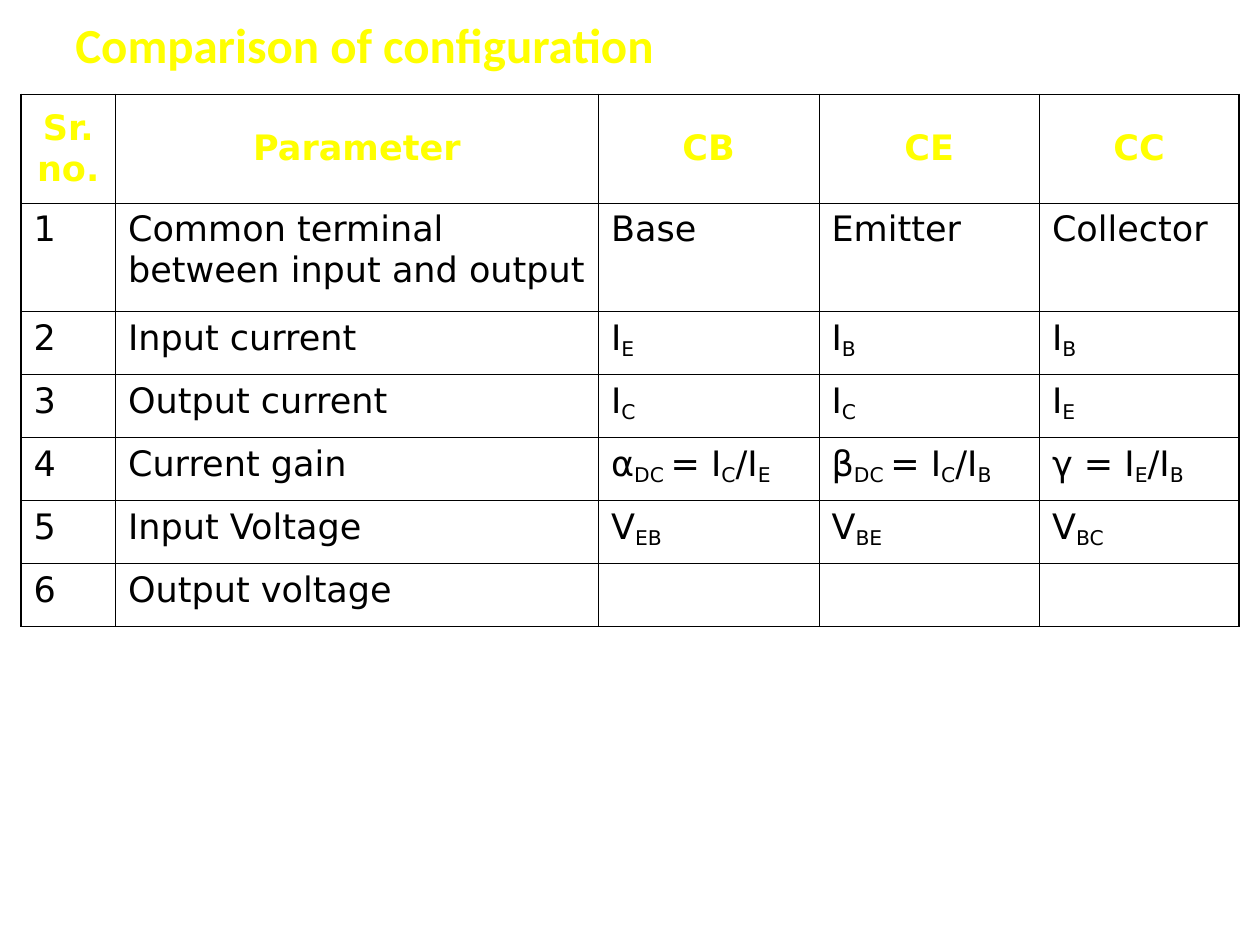
from pptx import Presentation
from pptx.dml.color import RGBColor
from pptx.enum.text import MSO_ANCHOR, PP_ALIGN
from pptx.oxml import parse_xml
from pptx.oxml.ns import nsdecls
from pptx.util import Pt

HUES = {"head": "FFFF00", "body": "000000", "rule": "000000"}
THIN, THICK = 0.45, 1.08
COLS = [54, 276, 126, 126, 114]
ROWS = [62, 62] + [36] * 5
# Parts between bars alternate: plain, subscript, plain, ...
DATA = [
    ["Sr.no.", "Parameter", "CB", "CE", "CC"],
    ["1", "Common terminal between input and output",
     "Base", "Emitter", "Collector"],
    ["2", "Input current", "I|E", "I|B", "I|B"],
    ["3", "Output current", "I|C", "I|C", "I|E"],
    ["4", "Current gain", "α|DC |= I|C|/I|E", "β|DC |= I|C|/I|B",
     "γ = I|E|/I|B"],
    ["5", "Input Voltage", "V|EB", "V|BE", "V|BC"],
    ["6", "Output voltage", "", "", ""],
]


def add_run(para, text, face, size, hue, bold=False, sub=False):
    run = para.add_run()
    run.text = text
    font = run.font
    font.name, font.size, font.bold = face, Pt(size), bold
    font.color.rgb = RGBColor.from_string(HUES[hue])
    if sub:
        font._element.set("baseline", "-18000")


def add_title(slide, text):
    box = slide.shapes.add_textbox(Pt(36), Pt(6), Pt(648), Pt(38))
    frame = box.text_frame
    frame.word_wrap = True
    frame.vertical_anchor = MSO_ANCHOR.MIDDLE
    add_run(frame.paragraphs[0], text, "Calibri", 28, "head", True)


def set_lines(cell, row, col):
    edges = {"L": col == 0, "R": col == len(COLS) - 1,
             "T": row == 0, "B": row == len(ROWS) - 1}
    props = cell._tc.get_or_add_tcPr()
    for spot, (side, outer) in enumerate(edges.items()):
        width = Pt(THICK if outer else THIN)
        props.insert(spot, parse_xml(
            f'<a:ln{side} {nsdecls("a")} w="{width}"><a:solidFill>'
            f'<a:srgbClr val="{HUES["rule"]}"/></a:solidFill></a:ln{side}>'))


def fill_cell(cell, text, head):
    cell.fill.background()
    para = cell.text_frame.paragraphs[0]
    if head:
        cell.vertical_anchor = MSO_ANCHOR.MIDDLE
        para.alignment = PP_ALIGN.CENTER
    if text:
        for spot, part in enumerate(text.split("|")):
            add_run(para, part, "DejaVu Sans", 20,
                    "head" if head else "body", head, spot % 2 == 1)


def add_grid(slide):
    table = slide.shapes.add_table(
        len(ROWS), len(COLS), Pt(12), Pt(54),
        Pt(sum(COLS)), Pt(sum(ROWS))).table
    table.first_row = table.horz_banding = False
    for col, width in zip(table.columns, COLS):
        col.width = Pt(width)
    for row, height in zip(table.rows, ROWS):
        row.height = Pt(height)
    for row, texts in enumerate(DATA):
        for col, text in enumerate(texts):
            cell = table.cell(row, col)
            fill_cell(cell, text, row == 0)
            set_lines(cell, row, col)


def main():
    deck = Presentation()
    deck.slide_width, deck.slide_height = Pt(720), Pt(540)
    slide = deck.slides.add_slide(deck.slide_layouts[6])
    add_title(slide, "Comparison of configuration")
    add_grid(slide)
    deck.save("out.pptx")


if __name__ == "__main__":
    main()
